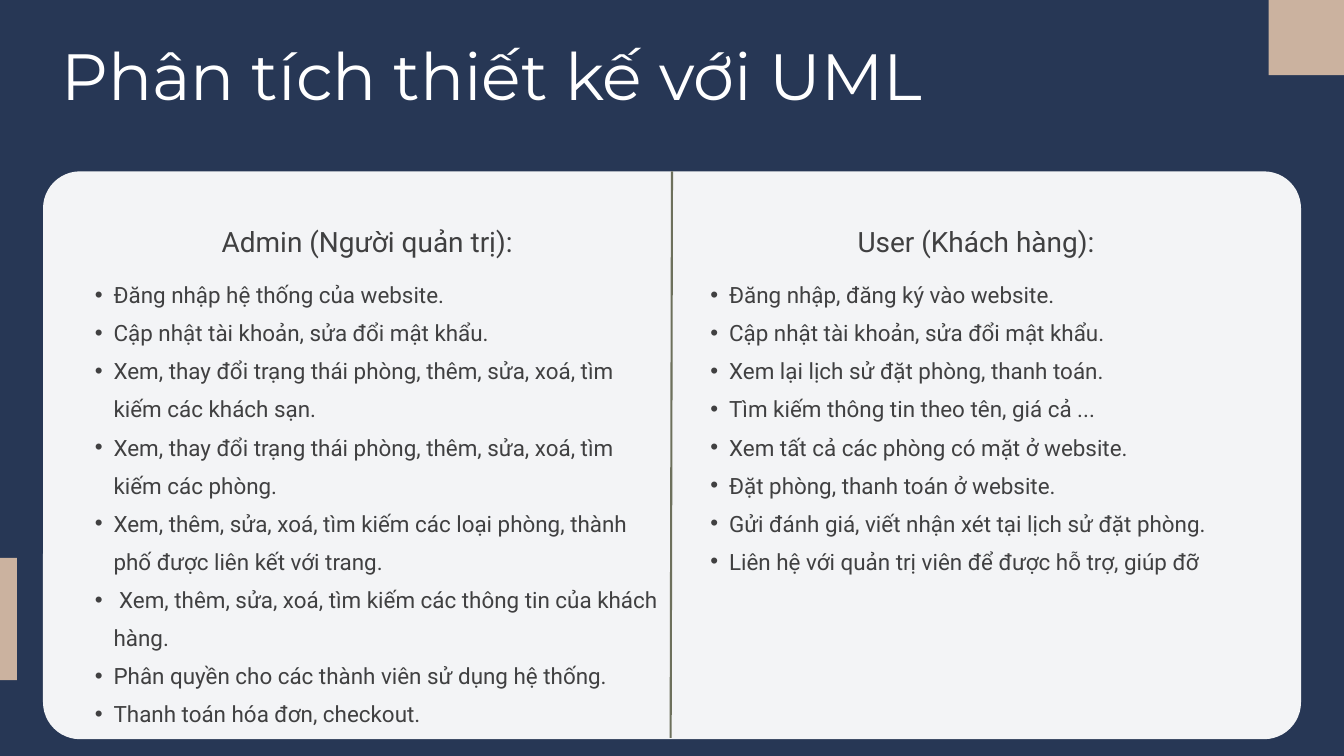
from lxml.etree import SubElement
from pptx import Presentation
from pptx.dml.color import RGBColor
from pptx.enum.shapes import MSO_CONNECTOR, MSO_SHAPE
from pptx.enum.text import PP_ALIGN
from pptx.oxml.ns import qn
from pptx.util import Inches, Pt

COLORS = {
    "background": "273755",
    "title": "FFFFFF",
    "panel": "FFFFFF",
    "divider": "6D705C",
    "text": "404041",
    "accent": "CBB29F",
}

TITLE = "Phân tích thiết kế với UML"
COLUMNS = [
    {
        "heading": "Admin (Người quản trị):",
        "heading_left": 1.12,
        "list_left": 1.12,
        "items": [
            "Đăng nhập hệ thống của website.",
            "Cập nhật tài khoản, sửa đổi mật khẩu.",
            "Xem, thay đổi trạng thái phòng, thêm, sửa, xoá, tìm kiếm các khách sạn.",
            "Xem, thay đổi trạng thái phòng, thêm, sửa, xoá, tìm kiếm các phòng.",
            "Xem, thêm, sửa, xoá, tìm kiếm các loại phòng, thành phố được liên kết với trang.",
            " Xem, thêm, sửa, xoá, tìm kiếm các thông tin của khách hàng.",
            "Phân quyền cho các thành viên sử dụng hệ thống.",
            "Thanh toán hóa đơn, checkout.",
        ],
        "list_height": 6.72,
    },
    {
        "heading": "User (Khách hàng):",
        "heading_left": 10.18,
        "list_left": 10.28,
        "items": [
            "Đăng nhập, đăng ký vào website.",
            "Cập nhật tài khoản, sửa đổi mật khẩu.",
            "Xem lại lịch sử đặt phòng, thanh toán.",
            "Tìm kiếm thông tin theo tên, giá cả ...",
            "Xem tất cả các phòng có mặt ở website.",
            "Đặt phòng, thanh toán ở website.",
            "Gửi đánh giá, viết nhận xét tại lịch sử đặt phòng.",
            "Liên hệ với quản trị viên để được hỗ trợ, giúp đỡ",
        ],
        "list_height": 4.47,
    },
]
COLUMN_WIDTH = 8.69
ACCENTS = [(0, 8.3, 0.25, 1.82), (18.88, 0, 1.12, 1.12)]
PANEL = (0.64, 2.55, 18.72, 8.45)
CORNER_RADIUS = 0.55


def color(name):
    return RGBColor.from_string(COLORS[name])


def add_block(slide, kind, box, color_name):
    shape = slide.shapes.add_shape(kind, *map(Inches, box))
    shape.shadow.inherit = False
    shape.fill.solid()
    shape.fill.fore_color.rgb = color(color_name)
    shape.line.fill.background()
    return shape


def add_bullet(paragraph):
    paragraph.level = 1
    properties = paragraph._p.get_or_add_pPr()
    properties.set("marL", str(Inches(0.57)))
    properties.set("indent", str(Inches(-0.28)))
    SubElement(properties, qn("a:buFont"), typeface="Arial")
    SubElement(properties, qn("a:buChar"), char="•")


def add_text(slide, box, lines, size, spacing, font="Roboto", color_name="text",
             align=PP_ALIGN.LEFT, bullets=False):
    frame = slide.shapes.add_textbox(*map(Inches, box)).text_frame
    frame.word_wrap = True
    frame.margin_left = frame.margin_top = frame.margin_right = frame.margin_bottom = 0
    for index, line in enumerate(lines):
        paragraph = frame.add_paragraph() if index else frame.paragraphs[0]
        paragraph.text = line
        if bullets:
            add_bullet(paragraph)
        paragraph.alignment = align
        paragraph.line_spacing = Pt(spacing)
        paragraph.font.size = Pt(size)
        paragraph.font.name = font
        paragraph.font.color.rgb = color(color_name)


def add_panel(slide):
    panel = add_block(slide, MSO_SHAPE.ROUNDED_RECTANGLE, PANEL, "panel")
    panel.adjustments[0] = CORNER_RADIUS / PANEL[3]
    fill_color = panel.fill._xPr.find(qn("a:solidFill"))[0]
    SubElement(fill_color, qn("a:alpha"), val="95000")
    return panel


def add_divider(slide, panel):
    divider = slide.shapes.add_connector(
        MSO_CONNECTOR.STRAIGHT, Inches(10), Inches(2.55), Inches(9.98), Inches(10.98))
    divider.begin_connect(panel, 0)
    divider.line.color.rgb = color("divider")
    divider.line.width = Pt(2.25)
    SubElement(divider._element.spPr, qn("a:effectLst"))


def main():
    presentation = Presentation()
    presentation.slide_width = Inches(20)
    presentation.slide_height = Inches(11.25)
    slide = presentation.slides.add_slide(presentation.slide_layouts[6])
    slide.background.fill.solid()
    slide.background.fill.fore_color.rgb = color("background")

    add_text(slide, (0.91, 0.62, 16.94, 1.09), [TITLE], 70, 77, "Montserrat", "title")
    add_divider(slide, add_panel(slide))
    for column in COLUMNS:
        add_text(slide, (column["heading_left"], 3.25, COLUMN_WIDTH, 0.58),
                 [column["heading"]], 30, 42, align=PP_ALIGN.CENTER)
        add_text(slide, (column["list_left"], 4.02, COLUMN_WIDTH, column["list_height"]),
                 column["items"], 24, 40.8, bullets=True)
    for box in ACCENTS:
        add_block(slide, MSO_SHAPE.RECTANGLE, box, "accent")

    presentation.save("out.pptx")


if __name__ == "__main__":
    main()
